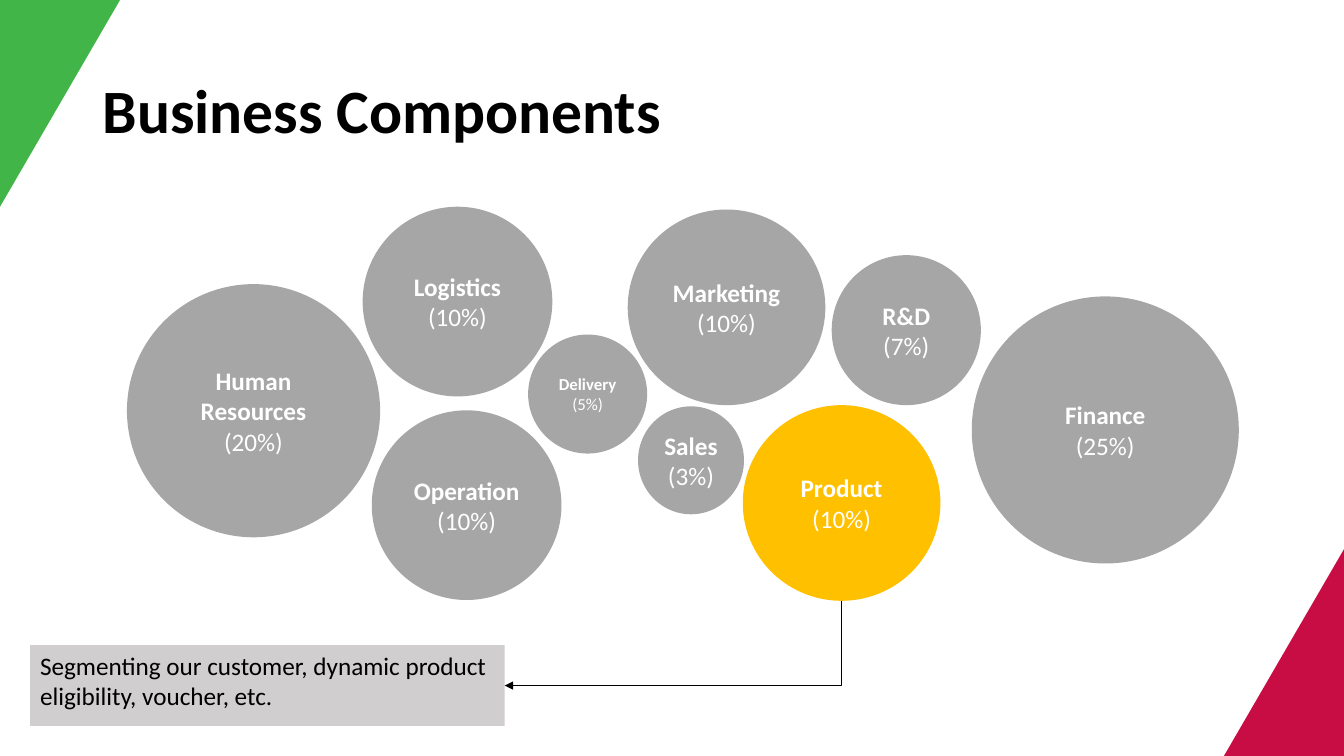
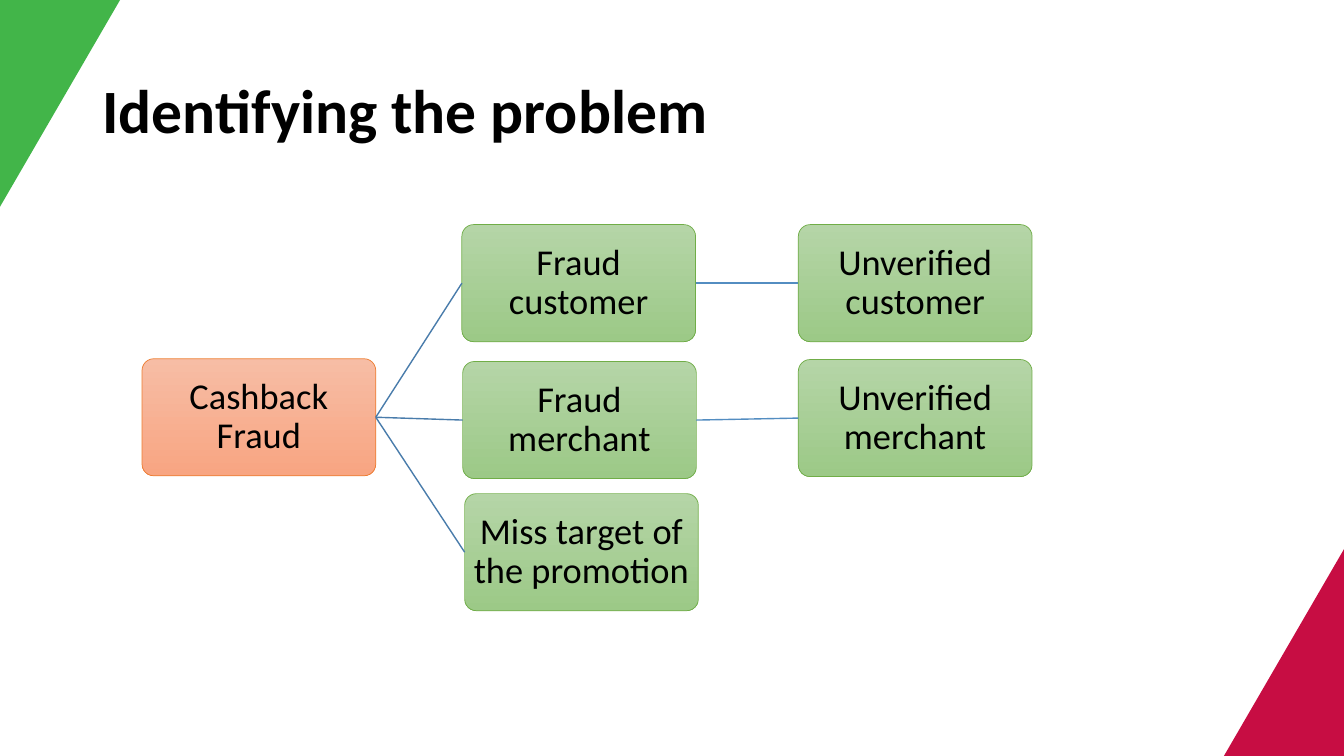
from lxml import etree
from pptx import Presentation
from pptx import util as u
from pptx.dml.color import RGBColor
from pptx.enum import shapes, text
from pptx.oxml.ns import qn

Cm, Pt = u.Cm, u.Pt
KIND = shapes.MSO_SHAPE
LINE = shapes.MSO_CONNECTOR
MID = text.MSO_ANCHOR.MIDDLE
TOP = text.MSO_ANCHOR.TOP
LEFT = text.PP_ALIGN.LEFT
MIDST = text.PP_ALIGN.CENTER
FONT = "Calibri"
WIDE, HIGH = 33.87, 19.05
HUES = {
    "green": "42B549", "red": "C70D43", "ink": "000000", "white": "FFFFFF",
    "grey": "A6A6A6", "gold": "FFC000", "note": "D0CECE",
    "root_top": "F7BDA5", "root_end": "F8A582", "root_rim": "ED7D31",
    "leaf_top": "B5D5A7", "leaf_end": "9CC987", "leaf_rim": "70AD47",
    "link_1": "497CAB", "link_2": "538DC1",
}


def hue(name):
    return RGBColor.from_string(HUES[name])


# Shared building blocks
def write(frame, lines, size, color, align=MIDST, anchor=MID, inset=None, space=None):
    """Each line is a pair of wording and boldness, set as one paragraph."""
    frame.word_wrap = True
    frame.auto_size = text.MSO_AUTO_SIZE.NONE
    frame.vertical_anchor = anchor
    if inset is not None:
        frame.margin_left = frame.margin_right = Cm(inset)
        frame.margin_top = frame.margin_bottom = Cm(inset)
    for i, (words, bold) in enumerate(lines):
        para = frame.add_paragraph() if i else frame.paragraphs[0]
        para.alignment = align
        if space:
            para.line_spacing = space
        run = para.add_run()
        run.text = words
        run.font.name, run.font.size, run.font.bold = FONT, Pt(size), bold
        run.font.color.rgb = hue(color)


def form(page, kind, box, fill=None):
    item = page.shapes.add_shape(kind, *map(Cm, box))
    item.shadow.inherit = False
    if fill:
        item.fill.solid()
        item.fill.fore_color.rgb = hue(fill)
        item.line.fill.background()
    return item


def link(page, kind, ends, color, width):
    wire = page.shapes.add_connector(kind, *map(Cm, ends))
    wire.line.color.rgb = hue(color)
    wire.line.width = Pt(width)
    etree.SubElement(wire._element.spPr, qn("a:effectLst"))
    return wire


def start(deck, title):
    """Title and the two corner triangles found on every slide."""
    page = deck.slides.add_slide(deck.slide_layouts[5])
    wide, high = 6.05, 5.21
    top = form(page, KIND.ISOSCELES_TRIANGLE, (-wide / 2, 0, wide, high), "green")
    top.rotation = 180
    form(page, KIND.ISOSCELES_TRIANGLE,
         (WIDE - wide / 2, HIGH - high, wide, high), "red")
    head = page.shapes.title
    head.left, head.top, head.width, head.height = map(Cm, (2.33, 1.01, 29.21, 3.68))
    write(head.text_frame, [(title, True)], 44, "ink", LEFT, space=0.9)
    return page


# Slide 1: bubbles, one of them explained by a note
BUBBLES = [  # name, share, left, top, width, height, text size
    ("Human Resources", 20, 0, 1.95, 6.38, 6.38, 18),
    ("Finance", 25, 21.29, 2.26, 6.73, 6.73, 18),
    ("Logistics", 10, 5.94, 0, 4.78, 4.78, 18),
    ("Marketing", 10, 12.62, 0.07, 4.98, 4.93, 18),
    ("Sales", 3, 12.88, 5.03, 2.67, 2.72, 18),
    ("Delivery", 5, 10.11, 3.22, 3, 3, 12),
    ("R&D", 7, 17.76, 1.22, 3.76, 3.78, 18),
    ("Operation", 10, 6.17, 5.13, 4.78, 4.78, 18),
    ("Product", 10, 15.52, 5, 4.98, 4.93, 18),
]


def bubbles(page, left, top, focus):
    """Draws the bubbles and returns the foot point of the focused one."""
    foot = None
    for name, share, x, y, wide, high, size in BUBBLES:
        box = (left + x, top + y, wide, high)
        disc = form(page, KIND.OVAL, box, "gold" if name == focus else "grey")
        write(disc.text_frame, [(name, True), (f"({share}%)", False)],
              size, "white", inset=0.1)
        if name == focus:
            foot = (box[0] + wide / 2, box[1] + high)
    return foot


def note(page, box, words, foot):
    """Grey note with an elbow arrow that comes down from the foot point."""
    card = form(page, KIND.RECTANGLE, box, "note")
    write(card.text_frame, [(words, False)], 18, "ink", LEFT, TOP)
    x, y = box[0] + box[2], box[1] + box[3] / 2
    run, drop = foot[0] - x, y - foot[1]
    mid_x, mid_y = x + run / 2, y - drop / 2
    # The elbow is laid out upright, then turned a quarter about its centre
    wire = link(page, LINE.ELBOW, (mid_x - drop / 2, mid_y - run / 2,
                                   mid_x + drop / 2, mid_y + run / 2), "ink", 0.5)
    props = wire._element.spPr
    props.find(qn("a:xfrm")).set("rot", "5400000")
    props.find(qn("a:prstGeom")).set("prst", "bentConnector2")
    etree.SubElement(props.find(qn("a:ln")), qn("a:tailEnd"), type="triangle")


# Slide 2: tree of causes
NODES = {  # name: left, top, parent
    "Cashback Fraud": (0, 3.38, None),
    "Fraud customer": (8.06, 0, "Cashback Fraud"),
    "Fraud merchant": (8.08, 3.45, "Cashback Fraud"),
    "Miss target of the promotion": (8.13, 6.78, "Cashback Fraud"),
    "Unverified customer": (16.54, 0, "Fraud customer"),
    "Unverified merchant": (16.54, 3.4, "Fraud merchant"),
}


def node(page, box, words, tone):
    card = form(page, KIND.ROUNDED_RECTANGLE, box)
    card.adjustments[0] = 0.1
    card.fill.gradient()
    card.fill.gradient_angle = 270
    for stop, part in zip(card.fill.gradient_stops, ("top", "end")):
        stop.color.rgb = hue(f"{tone}_{part}")
    card.line.color.rgb = hue(f"{tone}_rim")
    card.line.width = Pt(0.5)
    write(card.text_frame, [(words, False)], 26, "ink", inset=0.05, space=0.9)
    return card


def tree(page, left, top):
    cards = {}
    for name, (x, y, parent) in NODES.items():
        box = (left + x, top + y, 5.89, 2.95)
        cards[name] = node(page, box, name, "leaf" if parent else "root")
        if parent:
            color = "link_2" if NODES[parent][2] else "link_1"
            wire = link(page, LINE.STRAIGHT, (0, 0, 1, 1), color, 1)
            wire.begin_connect(cards[parent], 3)
            wire.end_connect(cards[name], 1)


# Build the deck
deck = Presentation()
deck.slide_width, deck.slide_height = Cm(WIDE), Cm(HIGH)

page = start(deck, "Business Components")
foot = bubbles(page, 3.2, 5.21, "Product")
note(page, (0.76, 16.26, 11.96, 2.03),
     "Segmenting our customer, dynamic product eligibility, voucher, etc.", foot)

page = start(deck, "Identifying the problem")
tree(page, 3.58, 5.66)

deck.save("out.pptx")
